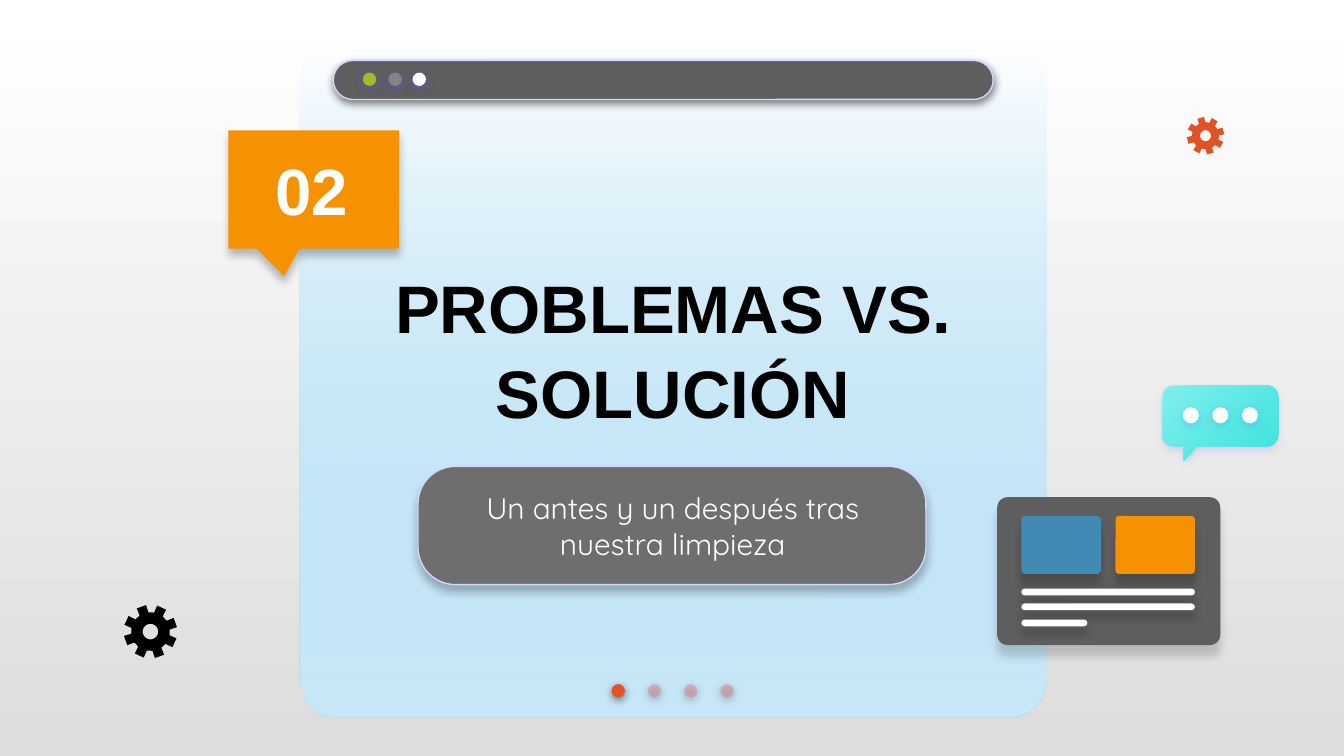
from math import cos, radians, sin

from lxml.etree import SubElement
from pptx import Presentation
from pptx.dml.color import RGBColor
from pptx.enum.shapes import MSO_SHAPE as Shape
from pptx.enum.text import MSO_ANCHOR as Anchor, PP_ALIGN as Align
from pptx.oxml.ns import qn
from pptx.util import Emu, Inches, Pt

PX = 9144  # EMU per px, 100 px to the inch

WHITE = RGBColor(0xFF, 0xFF, 0xFF)
BLACK = RGBColor(0x00, 0x00, 0x00)
MIST = RGBColor(0xDD, 0xDD, 0xDD)
SKY = RGBColor(0x66, 0xBE, 0xE9)
CHARCOAL = RGBColor(0x5E, 0x5E, 0x5E)
GRAY = RGBColor(0x6E, 0x6E, 0x6E)
SILVER = RGBColor(0x83, 0x83, 0x83)
LAVENDER = RGBColor(0xD2, 0xD6, 0xFF)
INDIGO = RGBColor(0x53, 0x52, 0xEE)
OLIVE = RGBColor(0xA6, 0xB7, 0x27)
ORANGE = RGBColor(0xF6, 0x92, 0x00)
RED = RGBColor(0xDF, 0x53, 0x27)
PINK = RGBColor(0xE2, 0x7B, 0x83)
BLUE = RGBColor(0x41, 0x8A, 0xB3)
AQUA = RGBColor(0x81, 0xEE, 0xEB)
TURQUOISE = RGBColor(0x3A, 0xE4, 0xDF)

# Shadows: colour, opacity in percent, distance in points
DOT_SHADOW = (BLACK, 50, 1.5)
BUTTON_SHADOW = (INDIGO, 50, 1.5)
BADGE_SHADOW = (BLACK, 25, 3.8)
CARD_SHADOW = (BLACK, 17, 6)
TILE_SHADOW = (BLACK, 20, 6)
LINE_SHADOW = (BLACK, 21, 4.5)
BUBBLE_SHADOW = (INDIGO, 18, 1.5)


def polar(x, y, radius, angle):
    """Point at an angle in degrees, clockwise from the top."""
    return x + radius * sin(radians(angle)), y - radius * cos(radians(angle))


def arc(x, y, radius, start, end, step=10):
    return [polar(x, y, radius, angle) for angle in range(start, end + 1, step)]


class SlideCanvas:
    heading_font = "Arial"
    body_font = "Quicksand"
    shadow_blur = 4.5
    inset = 10

    def __init__(self, slide):
        self.slide = slide

    def set_alpha(self, color_element, percent):
        SubElement(color_element, qn("a:alpha"), val=str(percent * 1000))

    def gradient(self, fill, colors, angle, end_alpha=None):
        fill.gradient()
        fill.gradient_angle = angle
        for stop, color in zip(fill.gradient_stops, colors):
            stop.color.rgb = color
        if end_alpha is not None:
            # The private stop list is avoided: the last a:srgbClr is the end colour
            colors_found = self.slide.shapes[-1].element.spPr.findall(".//" + qn("a:srgbClr"))
            self.set_alpha(colors_found[-1], end_alpha)

    def finish(self, shape, color=None, line=None, shadow=None, alpha=None):
        """Set fill, outline and shadow."""
        if color is not None:
            shape.fill.solid()
            shape.fill.fore_color.rgb = color
        if alpha is not None:
            self.set_alpha(shape.element.spPr.find(".//" + qn("a:srgbClr")), alpha)
        if line is None:
            shape.line.fill.background()
        else:
            shape.line.color.rgb = line
            shape.line.width = Pt(0.75)
        shape.shadow.inherit = False
        if shadow:
            shadow_color, opacity, distance = shadow
            effects = shape.element.spPr.find(qn("a:effectLst"))
            outer = SubElement(effects, qn("a:outerShdw"), blurRad=str(Pt(self.shadow_blur)),
                               dist=str(Pt(distance)), dir="5400000", algn="bl", rotWithShape="0")
            self.set_alpha(SubElement(outer, qn("a:srgbClr"), val=str(shadow_color)), opacity)
        return shape

    def preset(self, kind, x, y, width, height, color=None, adjustments=(), **style):
        shape = self.slide.shapes.add_shape(kind, *(Emu(v * PX) for v in (x, y, width, height)))
        for index, value in enumerate(adjustments):
            shape.adjustments[index] = value
        return self.finish(shape, color, **style)

    def rounded(self, x, y, width, height, color=None, corner=0.5, **style):
        return self.preset(Shape.ROUNDED_RECTANGLE, x, y, width, height, color, [corner], **style)

    def dot(self, x, y, size, color, **style):
        return self.preset(Shape.OVAL, x, y, size, size, color, **style)

    def outline(self, contours, color=None, **style):
        """Closed freeform; every contour after the first cuts a hole."""
        contours = [[(x * PX, y * PX) for x, y in contour] for contour in contours]
        builder = self.slide.shapes.build_freeform(*contours[0][0])
        for index, contour in enumerate(contours):
            if index:
                builder.move_to(*contour[0])
            builder.add_line_segments(contour[1:], close=True)
        return self.finish(builder.convert_to_shape(), color, **style)

    def gear(self, x, y, radius, turn, color):
        teeth = [polar(x, y, radius * reach, turn + 45 * tooth + offset)
                 for tooth in range(8)
                 for reach, offset in ((0.72, -14), (1, -10.5), (1, 10.5), (0.72, 14))]
        return self.outline([teeth, arc(x, y, radius * 0.29, 0, 350)], color)

    def text(self, x, y, width, height, words, size, color, font,
             bold=False, anchor=Anchor.MIDDLE, spacing=None, after=0):
        box = self.slide.shapes.add_textbox(*(Emu(v * PX) for v in (x, y, width, height)))
        frame = box.text_frame
        frame.word_wrap = True
        frame.vertical_anchor = anchor
        frame.margin_left = frame.margin_right = Emu(self.inset * PX)
        frame.margin_top = frame.margin_bottom = Emu(self.inset * PX)
        frame.text = words
        paragraph = frame.paragraphs[0]
        paragraph.alignment = Align.CENTER
        paragraph.space_after = Pt(after)
        if spacing:
            paragraph.line_spacing = spacing
        run_font = paragraph.runs[0].font
        run_font.name, run_font.size, run_font.bold = font, Pt(size), bold
        run_font.color.rgb = color

    def heading(self, *place, **options):
        self.text(*place, font=self.heading_font, bold=True, **options)


def draw_window(canvas):
    panel = (223, 28, 556, 506)
    canvas.rounded(*panel, WHITE, corner=0.056)
    glaze = canvas.rounded(*panel, corner=0.056)
    canvas.gradient(glaze.fill, (WHITE, SKY), 270, end_alpha=35)
    for page in range(4):
        color, alpha = (PINK, 44) if page else (RED, None)
        canvas.dot(455 + 27 * page, 509, 10, color, alpha=alpha, shadow=DOT_SHADOW)
    canvas.rounded(248, 45, 491, 29, CHARCOAL, line=LAVENDER, shadow=DOT_SHADOW)
    for x, color in zip((270, 289, 307), (OLIVE, SILVER, WHITE)):
        canvas.dot(x, 54, 10, color, shadow=BUTTON_SHADOW)


def draw_card(canvas):
    canvas.rounded(742, 370, 166, 110, CHARCOAL, corner=0.07, shadow=CARD_SHADOW)
    for x, color in ((760, BLUE), (830, ORANGE)):
        canvas.rounded(x, 384, 59, 43, color, corner=0.06, shadow=TILE_SHADOW)
    for y, width in ((438, 129), (449, 129), (461, 49)):
        canvas.rounded(760, y, width, 5, WHITE, shadow=LINE_SHADOW)


def draw_bubble(canvas):
    left, top, right, bottom, radius = 865, 287, 951, 332, 8
    edge = (arc(right - radius, top + radius, radius, 0, 90)
            + arc(right - radius, bottom - radius, radius, 90, 180)
            + [(891, bottom), (881, 343), (881, bottom)]
            + arc(left + radius, bottom - radius, radius, 180, 270)
            + arc(left + radius, top + radius, radius, 270, 360))
    bubble = canvas.outline([edge], shadow=BUBBLE_SHADOW)
    canvas.gradient(bubble.fill, (AQUA, TURQUOISE), 315)
    for x in range(880, 925, 22):
        canvas.dot(x, 303, 12, WHITE, shadow=BUBBLE_SHADOW)


def main():
    presentation = Presentation()
    presentation.slide_width, presentation.slide_height = Inches(10), Inches(5.625)
    slide = presentation.slides.add_slide(presentation.slide_layouts[6])
    canvas = SlideCanvas(slide)
    canvas.gradient(slide.background.fill, (WHITE, MIST), 270)

    draw_window(canvas)
    canvas.preset(Shape.ROUNDED_RECTANGULAR_CALLOUT, 170, 97, 127, 88, ORANGE,
                  (-0.174, 0.731, 0), shadow=BADGE_SHADOW)
    canvas.rounded(311, 347, 378, 88, GRAY, corner=0.317, line=LAVENDER, shadow=BADGE_SHADOW)
    canvas.heading(271, 167, 460, 182, words="PROBLEMAS VS. SOLUCIÓN",
                   size=36, color=BLACK, spacing=1.05)
    canvas.text(350, 352, 301, 78, "Un antes y un después tras nuestra limpieza",
                16, WHITE, canvas.body_font, after=12)
    draw_card(canvas)
    draw_bubble(canvas)
    canvas.gear(112, 470, 20, 25, BLACK)
    canvas.gear(897, 101, 14, 30, RED)
    canvas.heading(179, 102, 106, 78, words="02", size=35, color=WHITE, anchor=Anchor.BOTTOM)

    presentation.save("out.pptx")


if __name__ == "__main__":
    main()
